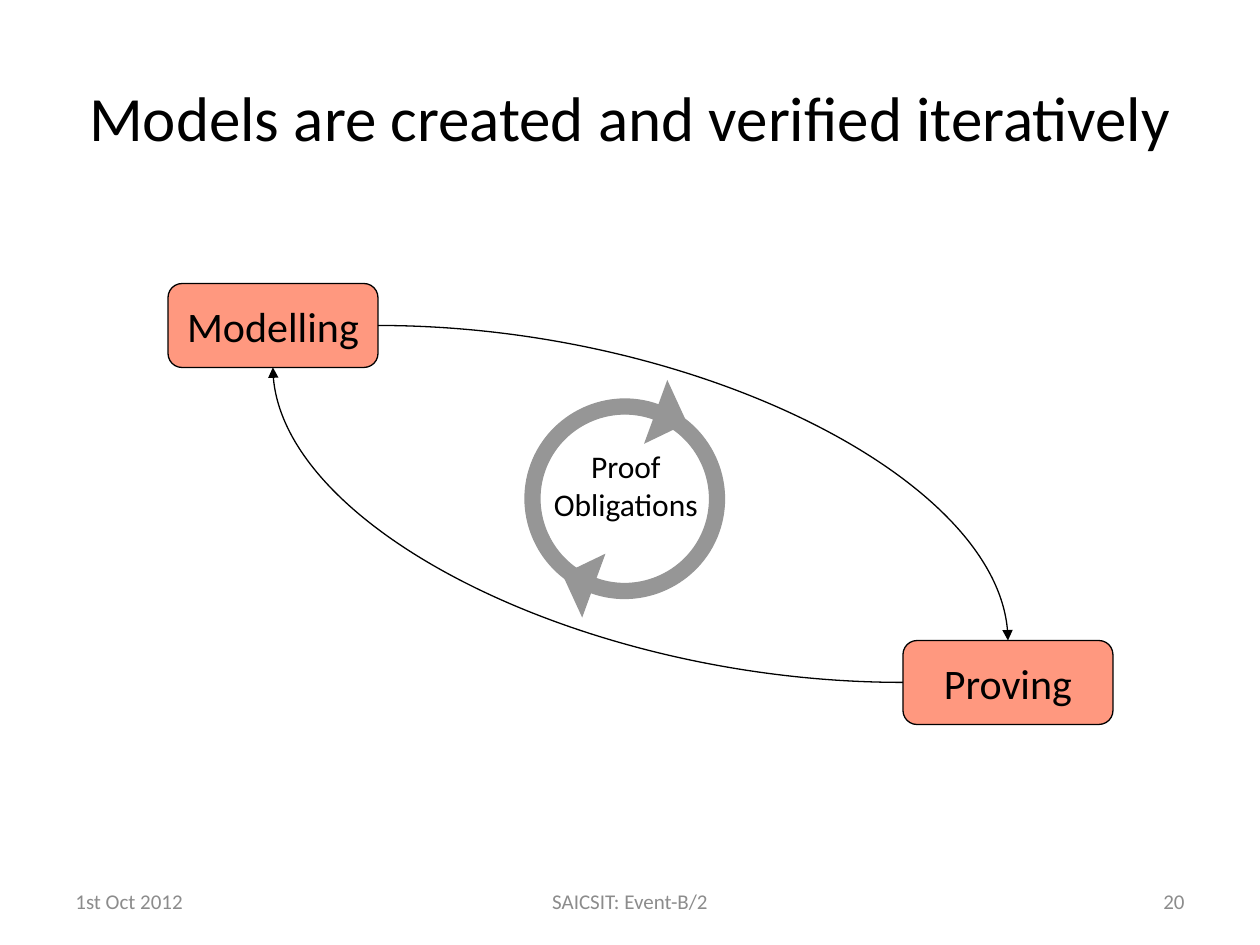
import math
from dataclasses import dataclass

import lxml.etree
import pptx
import pptx.dml.color
import pptx.enum.shapes
import pptx.enum.text
import pptx.oxml
import pptx.oxml.ns
import pptx.util

ALIGN = pptx.enum.text.PP_ALIGN
ANCHOR = pptx.enum.text.MSO_ANCHOR
TOP, LEFT, BOTTOM, RIGHT = range(4)
COLUMNS, ROWS = 60, 45
QUARTER_TURN = 0.55


@dataclass(frozen=True)
class Theme:
    """Colours, font and type sizes of the slide."""
    font: str = "Calibri"
    ink: str = "000000"
    muted: str = "8C8C8C"
    activity: str = "FF3300"
    cycle: str = "969696"
    title: int = 36
    label: int = 24
    caption: int = 18
    footer: int = 12
    stroke: float = 0.75


@dataclass(frozen=True)
class Box:
    """A rectangle in slide units that can be divided into a grid."""
    left: float
    top: float
    width: float
    height: float

    def cell(self, column, row, columns, rows):
        """Return the box that spans the given part of the slide grid."""
        across, down = self.width / COLUMNS, self.height / ROWS
        return Box(self.left + column * across, self.top + row * down,
                   columns * across, rows * down)

    def lengths(self):
        """Return the four lengths as whole slide units."""
        return [round(n) for n in (self.left, self.top, self.width, self.height)]


THEME = Theme()


def colour(code):
    """Turn a hex code into a colour."""
    return pptx.dml.color.RGBColor.from_string(code)


def add_element(parent, tag, **attributes):
    """Append a drawing element with the given attributes."""
    return lxml.etree.SubElement(parent, pptx.oxml.ns.qn(f"a:{tag}"), attributes)


def write(frame, words, size, ink=THEME.ink, align=ALIGN.CENTER, anchor=ANCHOR.MIDDLE):
    """Write one formatted run into a text frame."""
    frame.vertical_anchor = anchor
    paragraph = frame.paragraphs[0]
    paragraph.alignment = align
    run = paragraph.add_run()
    run.text = words
    run.font.name = THEME.font
    run.font.size = pptx.util.Pt(size)
    run.font.color.rgb = colour(ink)


def paint(shape, fill, stroke):
    """Give a shape a flat fill and a thin outline."""
    shape.shadow.inherit = False
    shape.fill.solid()
    shape.fill.fore_color.rgb = colour(fill)
    shape.line.color.rgb = colour(stroke)
    shape.line.width = pptx.util.Pt(THEME.stroke)


def add_text(slide, box, words, size, **style):
    """Place a wrapping text box."""
    frame = slide.shapes.add_textbox(*box.lengths()).text_frame
    frame.word_wrap = True
    write(frame, words, size, **style)


def add_activity(slide, box, name):
    """Place a half-transparent rounded box for one activity."""
    activity = slide.shapes.add_shape(
        pptx.enum.shapes.MSO_SHAPE.ROUNDED_RECTANGLE, *box.lengths())
    paint(activity, THEME.activity, THEME.ink)
    tint = activity._element.spPr.find(".//" + pptx.oxml.ns.qn("a:srgbClr"))
    add_element(tint, "alpha", val="50000")
    activity.text_frame.word_wrap = False
    write(activity.text_frame, name, THEME.label)
    return activity


def add_flow(slide, source, source_side, target, target_side):
    """Join two activities with a curved arrow."""
    flow = slide.shapes.add_connector(
        pptx.enum.shapes.MSO_CONNECTOR.CURVE, 0, 0, 0, 0)
    flow.begin_connect(source, source_side)
    flow.end_connect(target, target_side)
    flow.line.color.rgb = colour(THEME.ink)
    flow.line.width = pptx.util.Pt(THEME.stroke)
    properties = flow._element.spPr
    properties.find(pptx.oxml.ns.qn("a:prstGeom")).set("prst", "curvedConnector2")
    add_element(flow.line._get_or_add_ln(), "tailEnd", type="triangle")
    add_element(properties, "effectLst")


def half_turn(radius):
    """Return the start and the two curves of an upper half circle, right to left."""
    pull = QUARTER_TURN * radius
    return [(radius, 0), (radius, -pull), (pull, -radius), (0, -radius),
            (-pull, -radius), (-radius, -pull), (-radius, 0)]


def draw_half_ring(outline, box):
    """Draw a half ring with an arrowhead, in shares of the box's half width."""
    radius = box.width / 2
    inner, outer = half_turn(0.85), half_turn(1)[::-1]
    side = math.radians(19)
    head = [(1.25, 0), (0.98 * math.cos(side), 0.98 * math.sin(side)), (0.6, 0)]
    steps = [("moveTo", inner[:1]),
             ("cubicBezTo", inner[1:4]), ("cubicBezTo", inner[4:]),
             ("lnTo", outer[:1]),
             ("cubicBezTo", outer[1:4]), ("cubicBezTo", outer[4:]),
             *(("lnTo", [corner]) for corner in head)]
    for old in list(outline):
        outline.remove(old)
    for tag, points in steps:
        step = add_element(outline, tag)
        for x, y in points:
            add_element(step, "pt", x=str(round(radius * (1 + x))),
                        y=str(round(radius * (1 + y))))
    add_element(outline, "close")


def add_cycle(slide, box):
    """Fill the box with a ring of two half-turn arrows."""
    left, top, width, height = box.lengths()
    right, bottom = left + width, top + height
    ring = slide.shapes.add_group_shape()
    for heading in (290, 110):
        builder = ring.shapes.build_freeform(left, top)
        builder.add_line_segments([(right, top), (right, bottom), (left, bottom)])
        arrow = builder.convert_to_shape()
        draw_half_ring(arrow._element.spPr.find(".//" + pptx.oxml.ns.qn("a:path")), box)
        paint(arrow, THEME.cycle, THEME.cycle)
        add_element(arrow.line._get_or_add_ln(), "miter", lim="800000")
        arrow.rotation = heading


def add_diagram(slide, page):
    """Place the two activities, their flows and the central cycle."""
    modelling = add_activity(slide, page.cell(8, 13.5, 10, 4), "Modelling")
    proving = add_activity(slide, page.cell(43, 30.5, 10, 4), "Proving")
    add_flow(slide, modelling, RIGHT, proving, TOP)
    add_flow(slide, proving, LEFT, modelling, BOTTOM)
    add_cycle(slide, page.cell(25, 19, 9.5, 9.5))
    add_text(slide, page.cell(24, 21, 11.6, 4.2), "Proof Obligations",
             THEME.caption, anchor=ANCHOR.TOP)


def add_footer(slide, page):
    """Place the date, the event and the page number along the bottom."""
    for column, columns, words, align in (
            (3, 14, "1st Oct 2012", ALIGN.LEFT),
            (20.5, 19, "SAICSIT: Event-B/2", ALIGN.CENTER),
            (43, 14, "20", ALIGN.RIGHT)):
        add_text(slide, page.cell(column, 41.7, columns, 2.4), words,
                 THEME.footer, ink=THEME.muted, align=align)


def main():
    """Build the slide and save it."""
    deck = pptx.Presentation()
    deck.slide_width, deck.slide_height = pptx.util.Inches(10), pptx.util.Inches(7.5)
    slide = deck.slides.add_slide(deck.slide_layouts[6])
    page = Box(0, 0, deck.slide_width, deck.slide_height)
    add_text(slide, page.cell(3, 1.8, 54, 7.5),
             "Models are created and verified iteratively", THEME.title)
    add_diagram(slide, page)
    add_footer(slide, page)
    deck.save("out.pptx")


if __name__ == "__main__":
    main()
